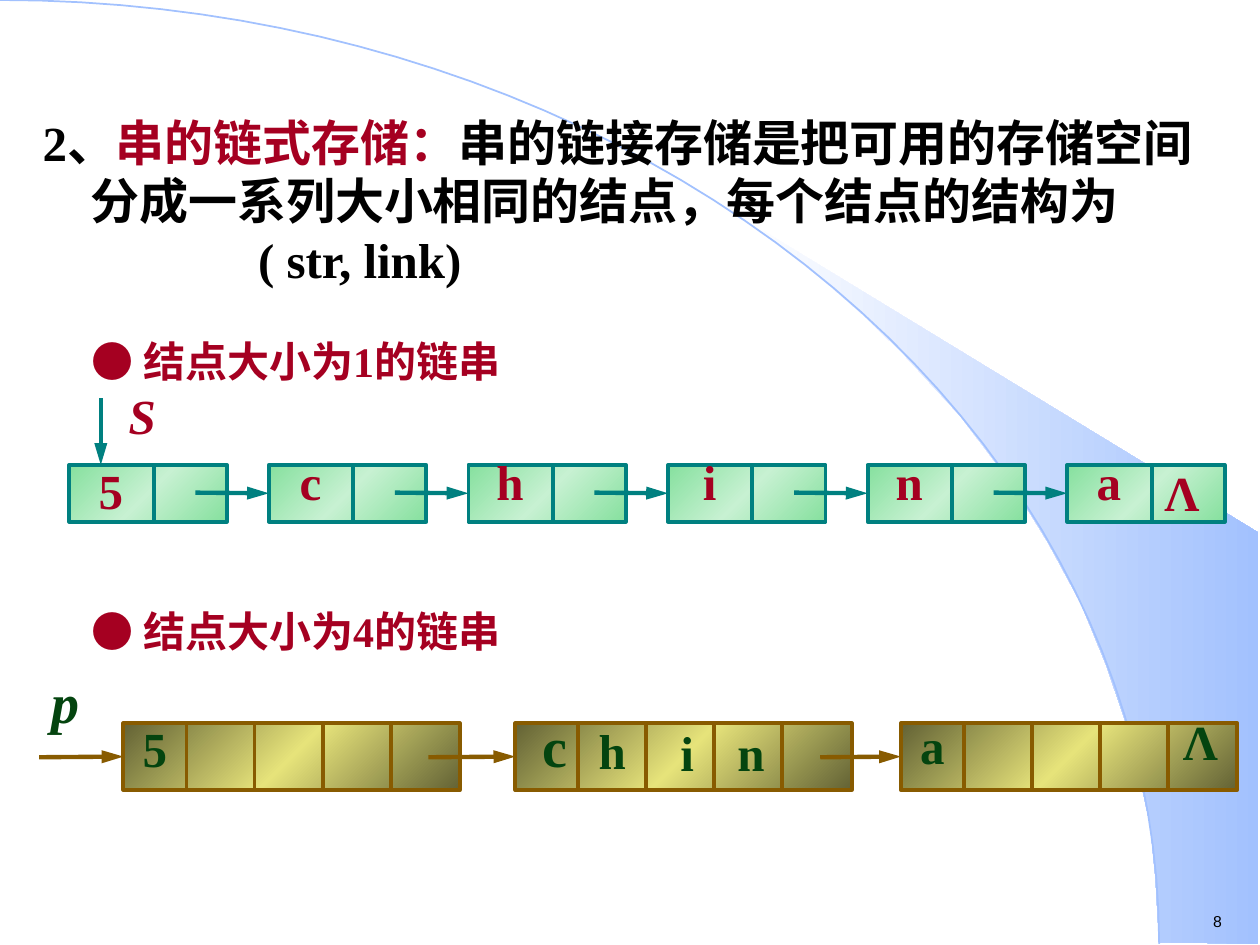
import copy
import dataclasses
import math

import lxml.etree
import pptx
import pptx.dml.color
import pptx.enum.shapes
import pptx.enum.text
import pptx.oxml.ns
import pptx.util

Inches = pptx.util.Inches
CENTER = pptx.enum.text.PP_ALIGN.CENTER
LEFT = pptx.enum.text.PP_ALIGN.LEFT


@dataclasses.dataclass(frozen=True)
class Theme:
    """Colours, fonts and type sizes of the slide."""

    black: str = "000000"
    red: str = "A50021"
    green: str = "04440F"
    teal: str = "008080"
    brown: str = "885B00"
    sky: str = "A2C1FE"
    mint_fill: tuple = ("86E09E", "C7F1D2", "86E09E")
    olive_fill: tuple = ("636235", "E6E37A", "636235")
    wedge_fill: tuple = ("FFFFFF", "A2C1FE")
    serif: str = "Times New Roman"
    sans: str = "Arial"
    large: int = 32
    body: int = 28
    heading: int = 24
    number: int = 9
    border: float = 2.25
    arrow: float = 2.5


def rgb(value):
    """Return a colour object for a hex string."""
    return pptx.dml.color.RGBColor.from_string(value)


class SlideBuilder:
    """Holds the theme and the current slide and draws elements on it."""

    def __init__(self, page, theme):
        """Keep the page and the theme."""
        self.page = page
        self.theme = theme

    def gradient(self, shape, colors, angle):
        """Fill a shape with evenly spaced gradient stops."""
        shape.fill.gradient()
        shape.fill.gradient_angle = angle
        stop_list = shape._element.spPr.find(".//" + pptx.oxml.ns.qn("a:gsLst"))
        for _ in colors[2:]:
            stop_list.append(copy.deepcopy(stop_list[0]))
        for index, (stop, color) in enumerate(zip(shape.fill.gradient_stops, colors)):
            stop.position = index / (len(colors) - 1)
            stop.color.rgb = rgb(color)

    def outline(self, points, closed):
        """Draw a freeform through points given in inches."""
        spots = [(Inches(x), Inches(y)) for x, y in points]
        builder = self.page.shapes.build_freeform(*spots[0], scale=1.0)
        builder.add_line_segments(spots[1:], close=closed)
        shape = builder.convert_to_shape()
        shape.shadow.inherit = False
        return shape

    def node(self, left, top, width, height, colors, color, dividers):
        """Draw a list node split into cells by dividers."""
        box = self.page.shapes.add_shape(
            pptx.enum.shapes.MSO_SHAPE.RECTANGLE, *map(Inches, (left, top, width, height))
        )
        box.shadow.inherit = False
        self.gradient(box, colors, 315)
        box.line.color.rgb = rgb(color)
        box.line.width = pptx.util.Pt(self.theme.border)
        for offset in dividers:
            self.line((left + offset, top), (left + offset, top + height), color, self.theme.border)
        return box

    def line(self, start, end, color, width):
        """Draw a straight connector."""
        link = self.page.shapes.add_connector(
            pptx.enum.shapes.MSO_CONNECTOR.STRAIGHT, *map(Inches, (*start, *end))
        )
        link.line.color.rgb = rgb(color)
        link.line.width = pptx.util.Pt(width)
        lxml.etree.SubElement(link._element.spPr, pptx.oxml.ns.qn("a:effectLst"))
        return link

    def arrow(self, start, end, color, target=None):
        """Draw an arrow, joined to the left side of a target if given."""
        link = self.line(start, end, color, self.theme.arrow)
        head = {"type": "triangle", "w": "med", "len": "lg"}
        lxml.etree.SubElement(link.line._get_or_add_ln(), pptx.oxml.ns.qn("a:tailEnd"), head)
        if target is not None:
            link.end_connect(target, 1)

    def text(self, place, paragraphs, wrap=True, align=LEFT, spacing=None, **formats):
        """Write paragraphs of (text, colour) spans in a text box."""
        box = self.page.shapes.add_textbox(*map(Inches, place))
        frame = box.text_frame
        frame.word_wrap = wrap
        values = {"name": self.theme.serif, "size": self.theme.body, "bold": True, **formats}
        values["size"] = pptx.util.Pt(values["size"])
        for index, spans in enumerate(paragraphs):
            para = frame.add_paragraph() if index else frame.paragraphs[0]
            para.alignment = align
            para.line_spacing = spacing
            for content, color in spans:
                span = para.add_run()
                span.text = content
                for key, value in values.items():
                    setattr(span.font, key, value)
                span.font.color.rgb = rgb(color)
        return frame

    def indent(self, para, margin, first):
        """Set the left margin and first-line indent of a paragraph."""
        for key, value in {"marL": margin, "indent": first}.items():
            para._p.get_or_add_pPr().set(key, str(Inches(value)))


def draw_background(slide):
    """Draw the shaded wedge and the large arc."""
    wedge = slide.outline([
        (9.2, 7.48), (9.99, 7.49), (9.99, 4.23), (5.89, 1.73), (6.24, 1.99), (6.53, 2.22),
        (6.85, 2.5), (7.16, 2.8), (7.62, 3.3), (8.03, 3.84), (8.32, 4.31), (8.58, 4.79),
        (8.78, 5.28), (8.93, 5.72), (9.03, 6.09), (9.13, 6.56), (9.17, 6.96),
    ], True)
    slide.gradient(wedge, slide.theme.wedge_fill, 0)
    wedge.line.fill.background()
    turns = [math.radians(degree) for degree in range(0, 91, 2)]
    arc = slide.outline([(9.2 * math.sin(t), 7.49 * (1 - math.cos(t))) for t in turns], False)
    arc.fill.background()
    arc.line.color.rgb = rgb(slide.theme.sky)
    arc.line.width = pptx.util.Pt(1)


def draw_texts(slide):
    """Write the definition, the two headings and the slide number."""
    theme = slide.theme
    frame = slide.text((0.24, 0.84, 9.57, 1.49), [
        [("2、", theme.black), ("串的链式存储：", theme.red),
         ("串的链接存储是把可用的存储空间分成一系列大小相同的结点，每个结点的结构为", theme.black)],
        [("( str, link)", theme.black)],
    ])
    slide.indent(frame.paragraphs[0], 0.38, -0.38)
    slide.indent(frame.paragraphs[1], 1.71, 0)
    for count, top in ((1, 2.39), (4, 4.54)):
        slide.text((0.63, top, 4.96, 0.72), [[(f"● 结点大小为{count}的链串", theme.red)]],
                   spacing=1.55, size=theme.heading)
    slide.text((9.53, 7.19, 0.35, 0.25), [[("8", theme.black)]], wrap=False,
               name=theme.sans, size=theme.number, bold=False)


def draw_single_list(slide):
    """Draw the linked string with one character in each node."""
    theme = slide.theme
    pitch = (8.47 - 0.55) / 5
    lefts = [0.55 + pitch * index for index in range(6)]
    nodes = [slide.node(left, 3.69, 1.25, 0.45, theme.mint_fill, theme.teal, [0.67])
             for left in lefts]
    for left, target in zip(lefts, nodes[1:]):
        slide.arrow((left + 1, 3.91), (left + pitch, 3.91), theme.teal, target)
    slide.arrow((0.8, 3.16), (0.8, 3.69), theme.teal)
    labels = [(letter, left + 0.08, 3.61) for letter, left in zip("5china", lefts)]
    labels[0] = ("5", 0.63, 3.68)
    for letter, left, top in labels + [("Λ", 9.13, 3.69)]:
        slide.text((left, top, 0.5, 0.5), [[(letter, theme.red)]], align=CENTER, spacing=0.85)
    slide.text((0.88, 3.08, 0.5, 0.5), [[("S", theme.red)]], align=CENTER, spacing=0.85,
               italic=True)


def draw_block_list(slide):
    """Draw the linked string with four characters in each node."""
    theme = slide.theme
    lefts = (0.98, 4.09, 7.15)
    dividers = [0.5 + 0.54 * index for index in range(4)]
    nodes = [slide.node(left, 5.74, 2.67, 0.53, theme.olive_fill, theme.brown, dividers)
             for left in lefts]
    starts = [0.31] + [left + 2.42 for left in lefts[:2]]
    for start, left, target in zip(starts, lefts, nodes):
        slide.arrow((start, 6.01), (left, 6.01), theme.brown, target)
    for letter, left, top, width, spacing, size in (
        ("5", 0.98, 5.74, 0.5, 0.8, theme.body),
        ("c", 4.09, 5.72, 0.63, 0.75, theme.large),
        ("h", 4.57, 5.78, 0.58, 0.75, theme.body),
        ("i", 5.12, 5.64, 0.67, 1.1, theme.body),
        ("n", 5.67, 5.64, 0.58, 1.1, theme.body),
        ("a", 7.15, 5.74, 0.5, 0.75, theme.body),
        ("Λ", 9.29, 5.67, 0.5, 0.85, theme.body),
    ):
        slide.text((left, top, width, 0.5), [[(letter, theme.green)]],
                   align=LEFT if letter == "Λ" else CENTER, spacing=spacing, size=size)
    slide.text((0.31, 5.25, 0.5, 0.63), [[("p", theme.green)]], size=theme.large, italic=True)


def main():
    """Build the deck and save it."""
    deck = pptx.Presentation()
    deck.slide_width, deck.slide_height = Inches(10), Inches(7.5)
    slide = SlideBuilder(deck.slides.add_slide(deck.slide_layouts[6]), Theme())
    for draw in (draw_background, draw_texts, draw_single_list, draw_block_list):
        draw(slide)
    deck.save("out.pptx")


if __name__ == "__main__":
    main()
